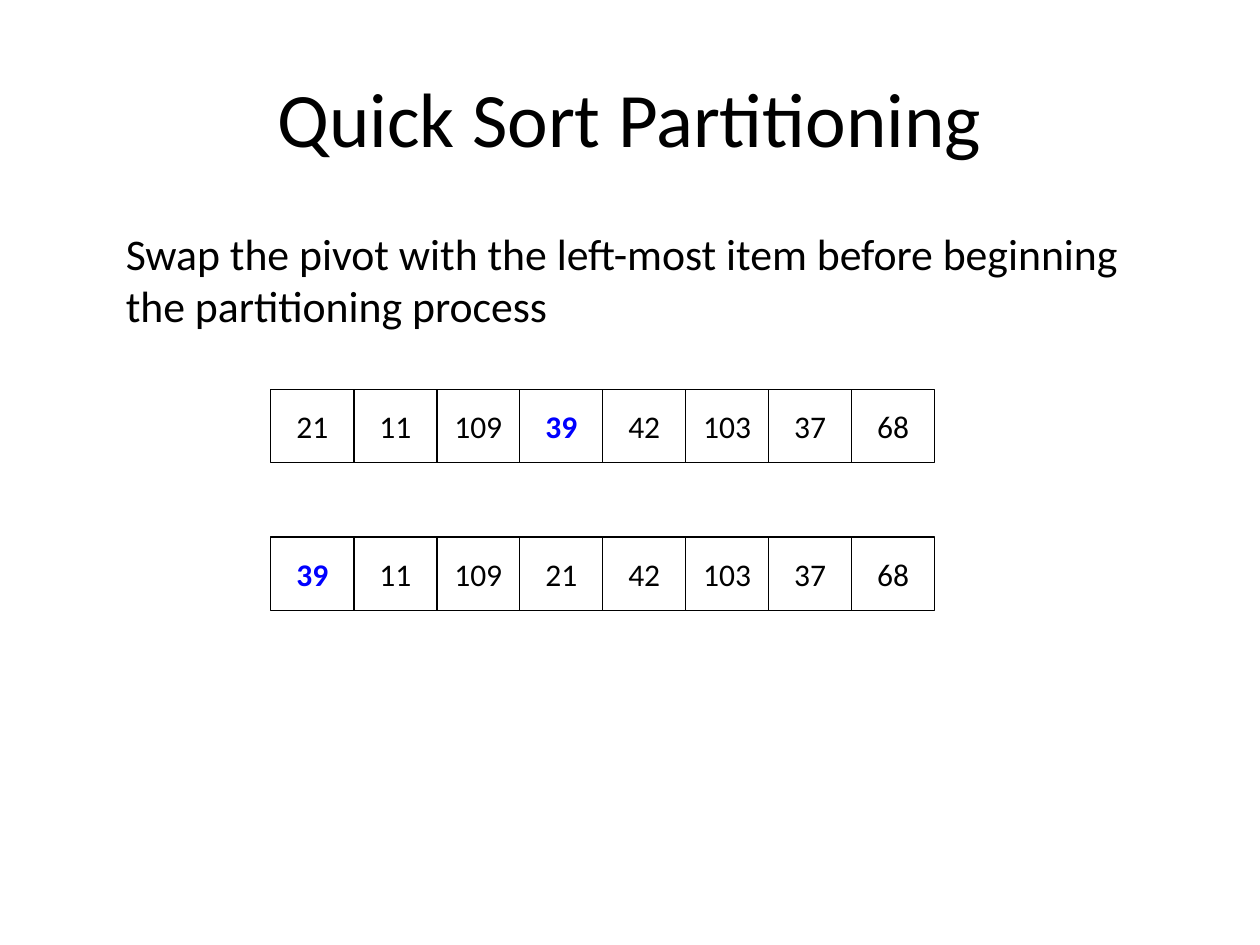
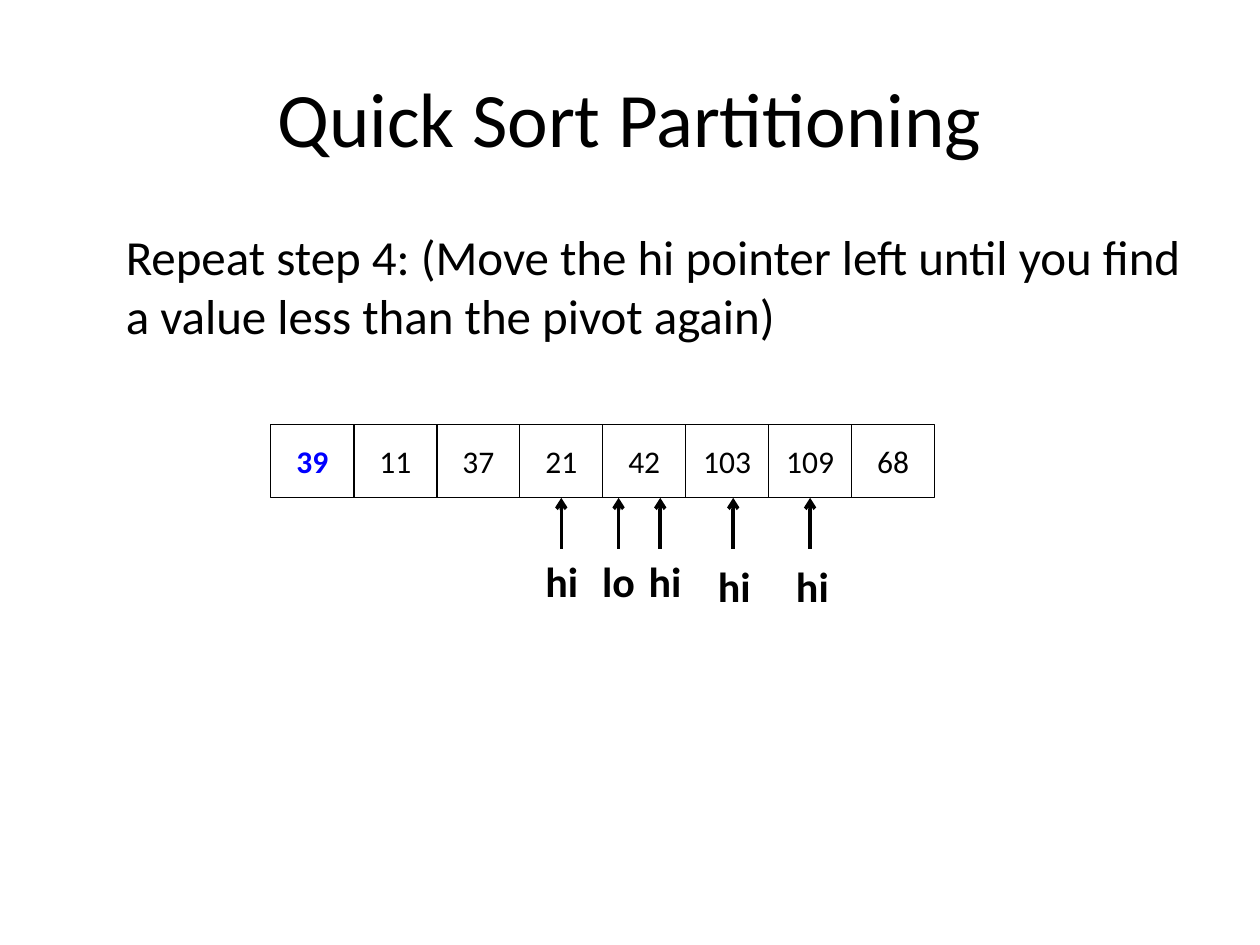
"""Build two slides on quick sort partitioning."""
from dataclasses import dataclass
from typing import Any, Optional

import lxml.etree
import pptx
import pptx.dml.color
import pptx.enum.shapes
import pptx.enum.text
import pptx.oxml.ns
import pptx.util

Pt = pptx.util.Pt
BLACK = pptx.dml.color.RGBColor(0x00, 0x00, 0x00)
BLUE = pptx.dml.color.RGBColor(0x00, 0x00, 0xFF)
FONT = "Calibri"
TITLE = "Quick Sort Partitioning"
PIVOT = 39
LEFT, PITCH = 154.8, 47.4
WIDTH, HEIGHT = 47.5, 41.8
STEM = 29


@dataclass(frozen=True)
class Row:
    top: float
    values: tuple[int, ...]


@dataclass(frozen=True)
class Pointer:
    name: str
    center: float
    left: float
    top: float = 313.9
    cell: Optional[int] = None


@dataclass(frozen=True)
class Page:
    body: str
    size: float
    rows: tuple[Row, ...]
    pointers: tuple[Pointer, ...] = ()


def middle(index: int) -> float:
    return LEFT + index * PITCH + WIDTH / 2


PAGES = (
    Page(
        "Swap the pivot with the left-most item before beginning the partitioning process",
        25,
        (
            Row(222.5, (21, 11, 109, 39, 42, 103, 37, 68)),
            Row(306.9, (39, 11, 109, 21, 42, 103, 37, 68)),
        ),
    ),
    Page(
        "Repeat step 4: (Move the hi pointer left until you find a value less than the pivot again)",
        28,
        (Row(242.7, (39, 11, 37, 21, 42, 103, 109, 68)),),
        (
            Pointer("hi", middle(3), 304.6, cell=3),
            Pointer("lo", 353.5, 337),
            Pointer("hi", 377.3, 363.6),
            Pointer("hi", 419, 403.2, 316.8),
            Pointer("hi", middle(6), 447.8, 316.8, cell=6),
        ),
    ),
)


def write(
    shape: Any,
    text: str,
    size: float,
    color: pptx.dml.color.RGBColor = BLACK,
    bold: bool = False,
    center: bool = False,
) -> None:
    """Put one styled paragraph in a shape."""
    frame = shape.text_frame
    frame.word_wrap = True
    anchor = pptx.enum.text.MSO_ANCHOR
    frame.vertical_anchor = anchor.MIDDLE if center else anchor.TOP
    line = frame.paragraphs[0]
    line.text = text
    align = pptx.enum.text.PP_ALIGN
    line.alignment = align.CENTER if center else align.LEFT
    font = line.font
    font.name, font.size, font.bold = FONT, Pt(size), bold
    font.color.rgb = color


def add_text(slide: Any, left: float, top: float, width: float, height: float) -> Any:
    """Add an empty text box."""
    return slide.shapes.add_textbox(Pt(left), Pt(top), Pt(width), Pt(height))


def add_row(slide: Any, row: Row) -> list[Any]:
    """Draw an array as a row of cells, with the pivot marked."""
    cells = []
    for index, value in enumerate(row.values):
        cell = slide.shapes.add_shape(
            pptx.enum.shapes.MSO_SHAPE.RECTANGLE,
            Pt(LEFT + index * PITCH), Pt(row.top), Pt(WIDTH), Pt(HEIGHT),
        )
        cell.shadow.inherit = False
        cell.fill.background()
        cell.line.color.rgb = BLACK
        cell.line.width = Pt(0.75)
        pivot = value == PIVOT
        write(cell, str(value), 18, BLUE if pivot else BLACK, pivot, center=True)
        cells.append(cell)
    return cells


def add_pointer(slide: Any, mark: Pointer, cells: list[Any]) -> None:
    """Draw a labelled arrow up to the cells."""
    tip = cells[0].top + cells[0].height
    arrow = slide.shapes.add_connector(
        pptx.enum.shapes.MSO_CONNECTOR.STRAIGHT,
        Pt(mark.center), tip + Pt(STEM), Pt(mark.center), tip,
    )
    if mark.cell is not None:
        arrow.end_connect(cells[mark.cell], 2)
    arrow.line.color.rgb = BLACK
    arrow.line.width = Pt(2)
    qn = pptx.oxml.ns.qn
    props = arrow.element.spPr
    lxml.etree.SubElement(props.find(qn("a:ln")), qn("a:tailEnd"), type="arrow")
    lxml.etree.SubElement(props, qn("a:effectLst"))
    write(add_text(slide, mark.left, mark.top, 41, 36), mark.name, 24, bold=True)


def add_page(deck: Any, page: Page) -> None:
    """Add one slide with its title, text, rows and pointers."""
    slide = deck.slides.add_slide(deck.slide_layouts[6])
    write(add_text(slide, 36, 21.6, 648, 90), TITLE, 44, center=True)
    write(add_text(slide, 64.8, 126, 619.2, 74.2), page.body, page.size)
    cells = [add_row(slide, row) for row in page.rows][-1]
    for mark in page.pointers:
        add_pointer(slide, mark, cells)


def main() -> None:
    """Build and save the deck."""
    deck = pptx.Presentation()
    deck.slide_width, deck.slide_height = Pt(720), Pt(540)
    for page in PAGES:
        add_page(deck, page)
    deck.save("out.pptx")


if __name__ == "__main__":
    main()
